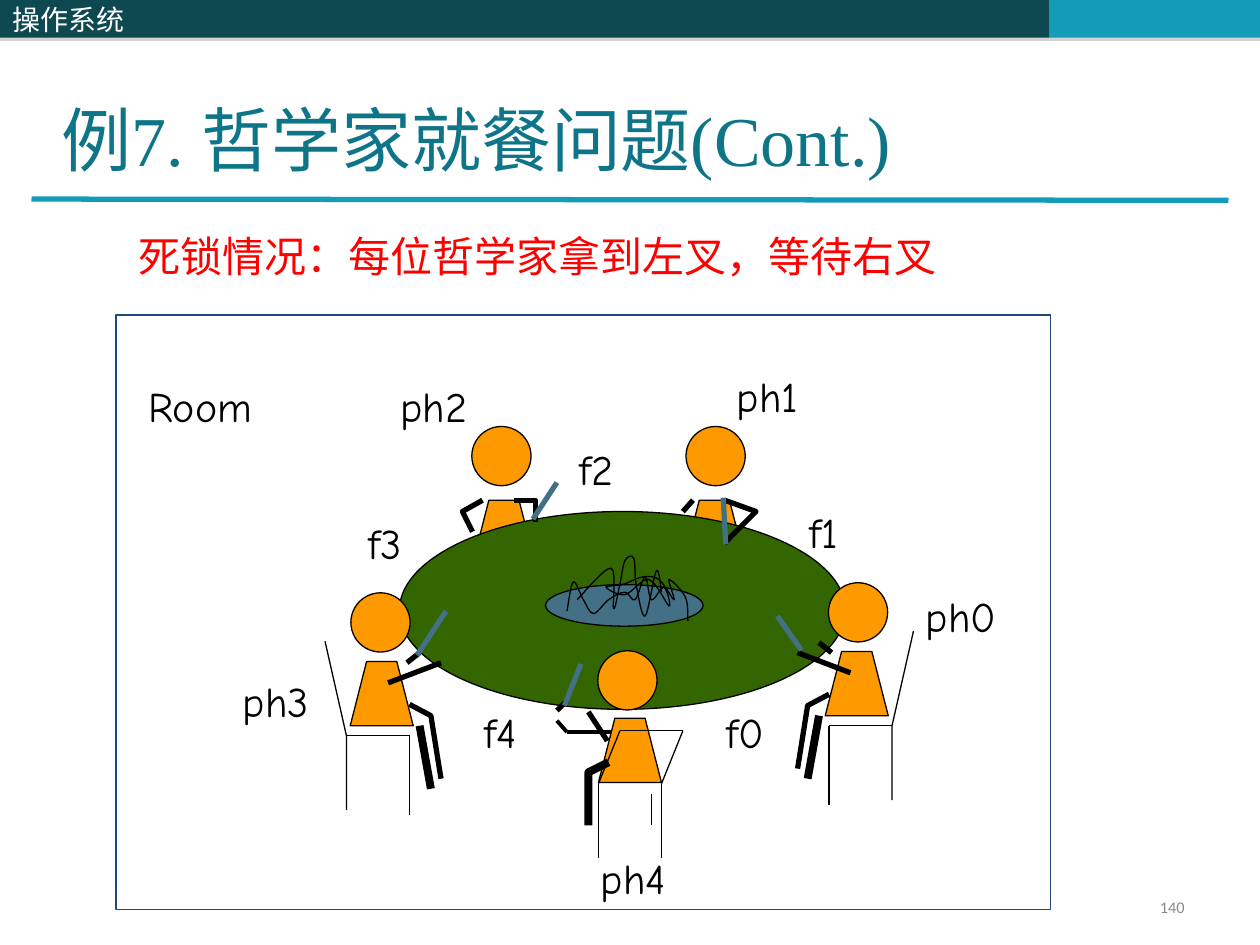
from lxml import etree
from pptx import Presentation
from pptx.dml.color import RGBColor
from pptx.enum.shapes import MSO_CONNECTOR, MSO_SHAPE
from pptx.enum.text import MSO_ANCHOR, PP_ALIGN
from pptx.oxml.ns import qn
from pptx.util import Inches, Pt

STRAIGHT = MSO_CONNECTOR.STRAIGHT
RECT, OVAL = MSO_SHAPE.RECTANGLE, MSO_SHAPE.OVAL
TOP, MIDDLE, BOTTOM = MSO_ANCHOR.TOP, MSO_ANCHOR.MIDDLE, MSO_ANCHOR.BOTTOM
LEFT, RIGHT = PP_ALIGN.LEFT, PP_ALIGN.RIGHT
SANS = "Noto Sans CJK SC"

HEX = {
    "dark": "0E4851", "teal": "139CB7", "title": "0E7589", "red": "FF0000",
    "black": "000000", "white": "FFFFFF", "grey": "898989", "shade": "808080",
    "frame": "1F497D", "skin": "FF9900", "table": "336600", "steel": "437085",
}

LABELS = [
    ("Room", 1.08, 2.97), ("ph0", 7.25, 4.64), ("ph4", 4.67, 6.72),
    ("ph3", 1.83, 5.31), ("ph2", 3.08, 2.97), ("ph1", 5.75, 2.89),
    ("f0", 5.67, 5.56), ("f4", 3.75, 5.56), ("f3", 2.83, 4.06),
    ("f2", 4.5, 3.47), ("f1", 6.33, 3.97),
]
# Upper end of each fork, then the way to its lower end.
FORKS = [
    (4.61, 5.27, -0.13, 0.33), (6.17, 4.89, 0.19, 0.27), (5.74, 3.95, 0.02, 0.37),
    (4.42, 3.83, -0.19, 0.29), (3.54, 4.85, -0.23, 0.35),
]
NOODLES = [
    [(4.58, 4.76), (4.85, 4.51), (4.87, 4.83), (4.92, 4.64), (4.96, 4.45),
     (5.03, 4.43), (5.05, 4.64), (5.12, 4.89), (5.21, 4.53), (5.25, 4.7)],
    [(4.5, 4.85), (4.55, 4.62), (4.63, 4.76), (4.71, 4.87), (4.83, 4.76),
     (4.96, 4.7), (5.04, 4.76), (5.12, 4.58), (5.17, 4.76), (5.27, 4.66),
     (5.31, 4.81), (5.15, 4.6), (4.96, 4.72), (4.81, 4.66), (4.94, 4.64),
     (5.1, 4.58), (5.23, 4.6), (5.35, 4.76), (5.31, 4.6), (5.44, 4.74),
     (5.46, 4.93)],
]


def color(name):
    return RGBColor.from_string(HEX[name])


def paint(shape, fill=None, line="black", width=0.75):
    shape.shadow.inherit = False
    if fill:
        shape.fill.solid()
        shape.fill.fore_color.rgb = color(fill)
    else:
        shape.fill.background()
    if line:
        shape.line.color.rgb = color(line)
        shape.line.width = Pt(width)
    else:
        shape.line.fill.background()
    return shape


def block(slide, kind, box, **look):
    return paint(slide.shapes.add_shape(kind, *map(Inches, box)), **look)


def outline(slide, points, close=False, **look):
    dots = [(Inches(x), Inches(y)) for x, y in points]
    pen = slide.shapes.build_freeform(*dots[0], scale=1.0)
    pen.add_line_segments(dots[1:], close=close)
    return paint(pen.convert_to_shape(), **look)


def stroke(slide, points, width=0.75, line="black"):
    """Draw a connector for two points, an open outline for more."""
    if len(points) > 2:
        outline(slide, points, line=line, width=width)
        return
    ends = [Inches(n) for point in points for n in point]
    rule = slide.shapes.add_connector(STRAIGHT, *ends)
    rule.line.color.rgb = color(line)
    rule.line.width = Pt(width)
    etree.SubElement(rule._element.spPr, qn("a:effectLst"))


def shift(point, start, end, part):
    """Move a point by a part of the way from start to end."""
    return tuple(p + (b - a) * part for p, a, b in zip(point, start, end))


def noodle(slide, knots):
    """Draw a smooth open curve through all knots."""
    ring = [knots[0], *knots, knots[-1]]
    points = [knots[0]]
    for a, b, c, d in zip(ring, ring[1:], ring[2:], ring[3:]):
        points += [shift(b, a, c, 1 / 6), shift(c, b, d, -1 / 6), c]
    shape = outline(slide, points)
    segs = list(shape._element.iter(qn("a:lnTo")))
    for i in range(0, len(segs), 3):
        curve = etree.Element(qn("a:cubicBezTo"))
        segs[i].addprevious(curve)
        for seg in segs[i:i + 3]:
            curve.append(seg[0])
            seg.getparent().remove(seg)


def write(shape, text, size, font, tint, anchor=TOP, align=LEFT):
    frame = shape.text_frame
    frame.word_wrap = True
    frame.vertical_anchor = anchor
    para = frame.paragraphs[0]
    para.text = text
    para.alignment = align
    para.font.size = Pt(size)
    para.font.name = font
    para.font.color.rgb = color(tint)
    etree.SubElement(para._p.pPr.find(qn("a:defRPr")), qn("a:ea"), typeface=SANS)
    return para


def label(slide, text, box, *style, **place):
    shape = slide.shapes.add_textbox(*map(Inches, box))
    return write(shape, text, *style, **place)


def band(slide, left, width, fill):
    """Draw a part of the top bar with a thin shadow below."""
    shape = block(slide, RECT, (left, 0, width, 0.3), fill=fill, line=None)
    effect = shape._element.spPr.find(qn("a:effectLst"))
    shade = etree.SubElement(effect, qn("a:outerShdw"), dist=str(Pt(1.8)),
                             dir="5400000", rotWithShape="0")
    tint = etree.SubElement(shade, qn("a:srgbClr"), val=HEX["shade"])
    etree.SubElement(tint, qn("a:alpha"), val="35000")
    return shape


def head(slide, x, y):
    size = 0.47
    block(slide, OVAL, (x - size / 2, y - size / 2, size, size), fill="skin")


def robe(slide, x, top):
    low = top + 0.51
    outline(slide, [(x - 0.25, low), (x - 0.12, top), (x + 0.12, top), (x + 0.25, low)],
            close=True, fill="skin")


def sitter(slide, flip=False):
    """Draw a seated figure from the side: ph3, or ph0 when flipped."""
    def at(*points):
        return [(9.83 - x, y - 0.08) if flip else (x, y) for x, y in points]

    stroke(slide, at((2.58, 5.09), (2.75, 5.84), (2.75, 6.43)))
    stroke(slide, at((3.25, 5.84), (3.25, 6.47)))
    stroke(slide, at((2.75, 5.84), (3.25, 5.84)))
    robe(slide, *at((3.03, 5.25))[0])
    head(slide, *at((3.02, 4.94))[0])
    stroke(slide, at((3.33, 5.76), (3.42, 6.26)), 4.5)
    stroke(slide, at((3.25, 5.59), (3.42, 5.68), (3.5, 6.18)), 3)
    stroke(slide, at((3.08, 5.42), (3.5, 5.26)), 3)
    stroke(slide, at((3.23, 5.26), (3.33, 5.18)), 3)


def front(slide):
    """Draw ph4 on a chair at the near side."""
    stroke(slide, [(4.5, 5.81), (5, 5.81)], 2.25)
    stroke(slide, [(4.42, 5.72), (4.5, 5.81)], 2.25)
    stroke(slide, [(4.5, 5.56), (4.42, 5.64)], 3)
    robe(slide, 5, 5.7)
    for x in (4.75, 5.25):
        stroke(slide, [(x, 6.22), (x, 6.81)])
        stroke(slide, [(x, 6.22), (x + 0.17, 5.8)])
    stroke(slide, [(4.92, 5.8), (5.42, 5.8)])
    head(slide, 4.98, 5.4)
    stroke(slide, [(5.17, 6.3), (5.17, 6.55)])
    stroke(slide, [(4.67, 5.65), (4.82, 5.88)], 3)
    stroke(slide, [(4.83, 6.05), (4.67, 6.13), (4.67, 6.55)], 4.5)


def back(slide):
    """Draw heads and arms of ph1 and ph2 at the far side."""
    for x in (5.68, 3.98):
        head(slide, x, 3.62)
    stroke(slide, [(5.75, 3.97), (6, 4.06), (5.75, 4.31)], 3)
    stroke(slide, [(5.5, 3.97), (5.42, 4.06)], 3)
    stroke(slide, [(3.83, 3.97), (3.67, 4.06), (3.75, 4.22)], 3)
    stroke(slide, [(4.08, 3.97), (4.25, 3.97), (4.25, 4.14)], 3)


def room(slide):
    block(slide, RECT, (0.92, 2.5, 7.42, 4.72), line="frame")
    for x in (4, 5.67):
        robe(slide, x, 3.97)
    block(slide, OVAL, (3.17, 4.06, 3.54, 1.57), fill="table")
    for flip in (False, True):
        sitter(slide, flip)
    front(slide)
    back(slide)
    block(slide, OVAL, (4.33, 4.64, 1.25, 0.33), fill="steel")
    for knots in NOODLES:
        noodle(slide, knots)
    for x, y, across, down in FORKS:
        stroke(slide, [(x, y), (x + across, y + down)], 3, "steel")
    for text, x, y in LABELS:
        width = 0.25 + 0.22 * len(text)
        label(slide, text, (x, y, width, 0.5), 24, "Comic Neue", "black")


def main():
    deck = Presentation()
    deck.slide_width, deck.slide_height = Inches(10), Inches(7.5)
    slide = deck.slides.add_slide(deck.slide_layouts[6])
    band(slide, 4.08, 4.25, "dark")
    band(slide, 8.33, 1.67, "teal")
    stroke(slide, [(0.25, 1.58), (9.75, 1.59)], 3, "teal")
    write(band(slide, 0, 4.08, "dark"), "操作系统", 16, SANS, "white", MIDDLE)
    page = label(slide, "140", (7.17, 7.08, 2.33, 0.27), 9.3, "Calibri", "grey",
                 anchor=MIDDLE, align=RIGHT)
    page.line_spacing = 0.8
    room(slide)
    label(slide, "例7. 哲学家就餐问题(Cont.)", (0.39, 0.23, 8.52, 1.25), 40,
          "Times New Roman", "title", anchor=BOTTOM)
    label(slide, "死锁情况：每位哲学家拿到左叉，等待右叉", (1, 1.78, 8.17, 0.5), 24, SANS, "red")
    deck.save("out.pptx")


if __name__ == "__main__":
    main()
